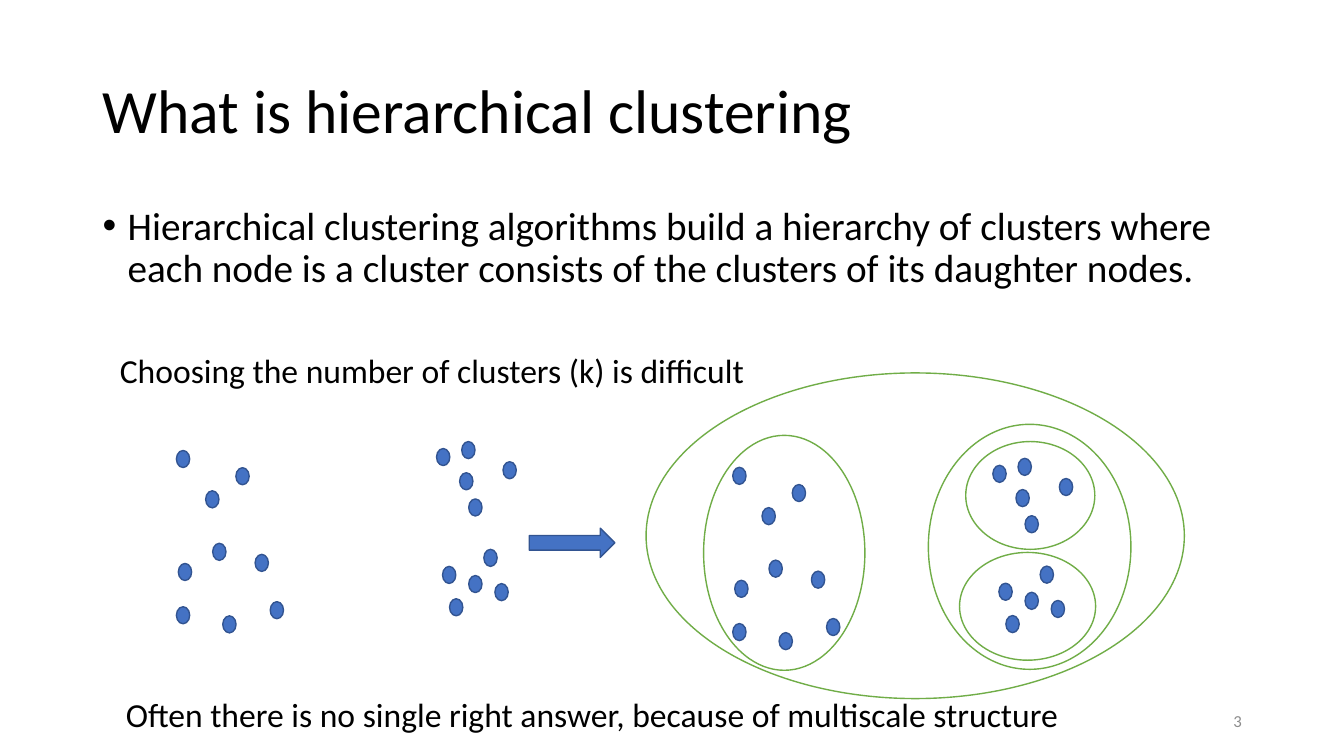
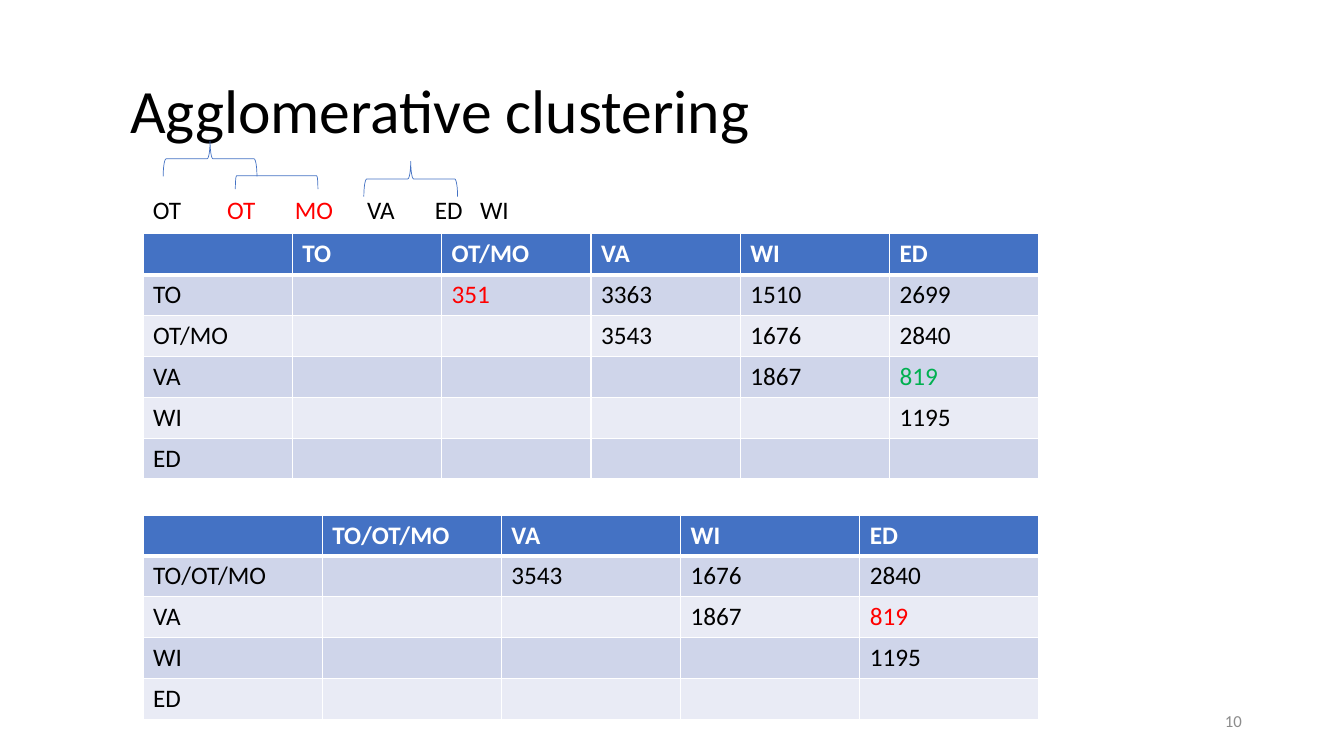
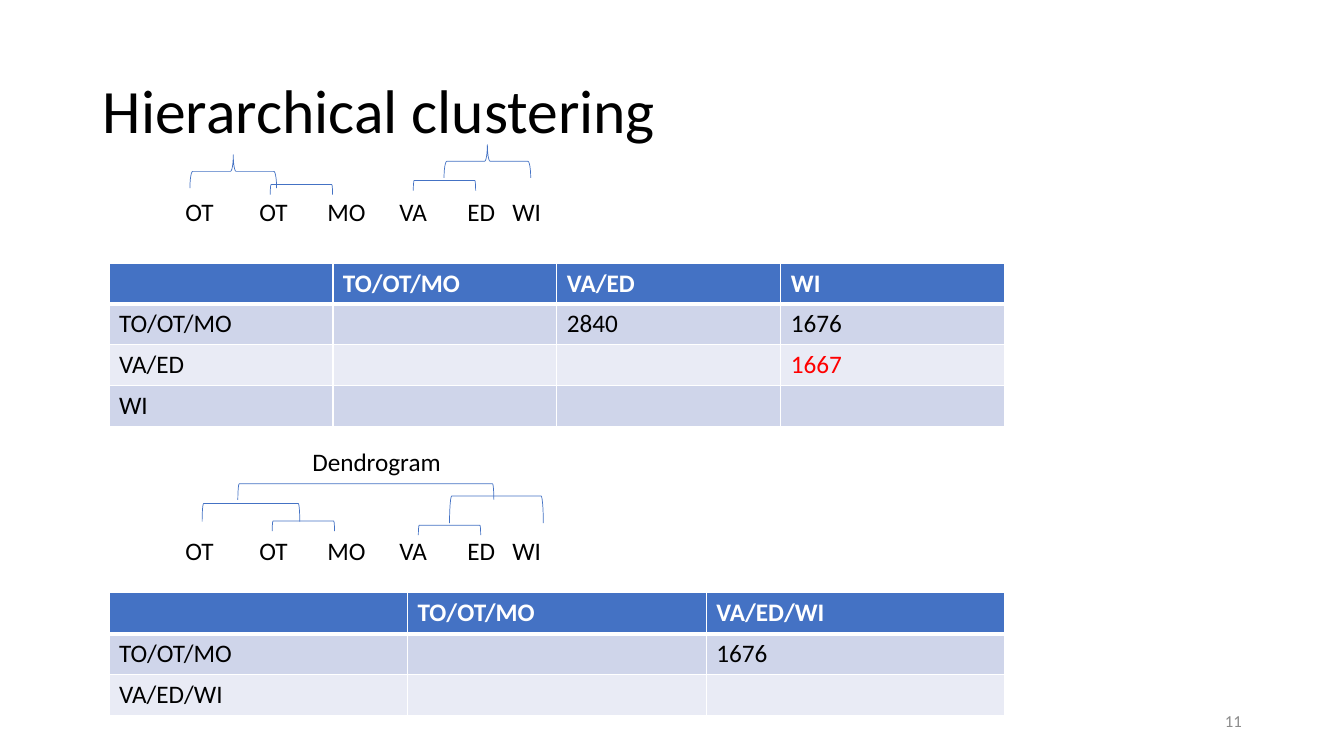
"""Build three slides on hierarchical clustering."""
from pptx import Presentation
from pptx.dml.color import RGBColor
from pptx.enum import shapes as sh, text as tx
from pptx.oxml import xmlchemy
from pptx.oxml.ns import qn
from pptx.util import Pt
from lxml import etree

COLORS = {
    "black": "000000", "white": "FFFFFF", "grey": "8C8C8C", "red": "FF0000",
    "green": "00B050", "ring": "70AD47", "blue": "4472C4", "outline": "325491",
    "band_dark": "CFD5EA", "band_light": "E9EBF5",
}
FONT = "Calibri"
SLIDE_SIZE = (960, 540)
NUMBER_BOX = (678.2, 500.6, 216, 28.8)

DEFINITION = ("Hierarchical clustering algorithms build a hierarchy of clusters where "
              "each node is a cluster consists of the clusters of its daughter nodes.")
RINGS = [
    (461.5, 266.4, 384.5, 232.6), (663.1, 303.1, 144.7, 175), (502.6, 311, 115.2, 167.8),
    (685.4, 394.6, 97.2, 77), (689.8, 315.4, 92.2, 77),
]
DOTS = [
    (126, 321.8), (168.5, 334.1), (146.9, 350.6), (127.4, 402.5), (151.9, 388.1),
    (126, 433.4), (182.2, 396), (159.1, 439.9), (193, 429.8),
    (321.1, 427.7), (353.5, 416.9), (345.6, 392.4), (316.1, 404.6), (334.8, 411.1),
    (334.8, 356.4), (359.3, 329.8), (328.3, 337.7), (329.8, 315.4), (311.8, 320.4),
]
DOT_SIZE = (9.5, 12.2)
CLUSTERED_SHIFT = (397.4, 12)

CITIES = ["OT", "OT", "MO", "VA", "ED", "WI"]
CITY_TABS = [52.9, 101.4, 152.9, 201.4, 233.6]
TABLE_WIDTH, ROW_HEIGHT = 640, 29.2

MERGES = [
    {
        "title": "Agglomerative clustering", "title_left": 85.7, "number": 10,
        "tables": [
            {"at": (102.2, 167), "names": ["TO", "OT/MO", "VA", "WI", "ED"],
             "distances": [[351, 3363, 1510, 2699], [3543, 1676, 2840], [1867, 819], [1195]],
             "marks": {351: "red", 819: "green"}},
            {"at": (102.2, 367.9), "names": ["TO/OT/MO", "VA", "WI", "ED"],
             "distances": [[3543, 1676, 2840], [1867, 819], [1195]],
             "marks": {819: "red"}},
        ],
        "city_rows": [(102.2, 135.4, {1, 2})],
        "braces": [(116.6, 100.8, 67, 25.2), (259.9, 115.2, 67, 25.2)],
        "brackets": [(168.1, 125.6, 59, 9.4)],
        "captions": [],
    },
    {
        "title": "Hierarchical clustering", "title_left": 66.2, "number": 11,
        "tables": [
            {"at": (77.8, 187.9), "names": ["TO/OT/MO", "VA/ED", "WI"],
             "distances": [[2840, 1676], [1667]], "marks": {1667: "red"}},
            {"at": (77.8, 423.4), "names": ["TO/OT/MO", "VA/ED/WI"],
             "distances": [[1676]], "marks": {}},
        ],
        "city_rows": [(125.3, 136.8, set()), (125.3, 378.7, set())],
        "braces": [(317.2, 103.3, 61.9, 23.8), (135.7, 110.5, 61.9, 23.8)],
        "brackets": [
            (295.2, 128.9, 44.6, 7.2), (193, 131.8, 44.6, 7.2),
            (298.8, 375.1, 44.6, 7.2), (194.4, 372.2, 44.6, 7.2),
            (321.1, 354.2, 67, 19.4), (144.4, 359.6, 69.8, 13), (169.9, 345.6, 182.9, 11.5),
        ],
        "captions": [("Dendrogram", (216, 315.4, 108, 28.8))],
    },
]


def rgb(name):
    """Return a palette colour."""
    return RGBColor.from_string(COLORS[name])


def style(paragraph, size, color="black", bold=False):
    """Set the font of a paragraph."""
    font = paragraph.font
    font.name, font.size, font.bold = FONT, Pt(size), bold
    font.color.rgb = rgb(color)


def add_setting(paragraph, tag, **attributes):
    """Add a paragraph property that has no public method."""
    properties = paragraph._p.get_or_add_pPr()
    setting = etree.SubElement(properties, qn(tag), **attributes)
    properties.insert_element_before(setting, "a:defRPr", "a:extLst")
    return setting


def add_text(slide, words, box, size, color="black"):
    """Add a wrapped text box and return its paragraph."""
    frame = slide.shapes.add_textbox(*map(Pt, box)).text_frame
    frame.word_wrap = True
    paragraph = frame.paragraphs[0]
    paragraph.text = words
    style(paragraph, size, color)
    return paragraph


def add_figure(slide, preset, box, line, fill=None, weight=1):
    """Add a preset shape with a plain outline."""
    figure = slide.shapes.add_shape(preset, *map(Pt, box))
    figure.shadow.inherit = False
    figure.line.color.rgb = rgb(line)
    figure.line.width = Pt(weight)
    if fill:
        figure.fill.solid()
        figure.fill.fore_color.rgb = rgb(fill)
    else:
        figure.fill.background()
    return figure


def add_joint(slide, preset, left, top, span, depth):
    """Add a brace or bracket that opens downwards over a span."""
    box = (left + (span - depth) / 2, top + (depth - span) / 2, depth, span)
    add_figure(slide, preset, box, "blue", weight=0.5).rotation = 270


def add_cities(slide, left, top, red):
    """Add the row of city labels on tab stops."""
    paragraph = add_text(slide, "", (left, top, 272.9, 28.8), 18)
    stops = add_setting(paragraph, "a:tabLst")
    for position in CITY_TABS:
        etree.SubElement(stops, qn("a:tab"), pos=str(int(Pt(position))), algn="l")
    for i, city in enumerate(CITIES):
        run = paragraph.add_run()
        run.text = "\t" + city if i else city
        run.font.color.rgb = rgb("red" if i in red else "black")


def add_borders(cell, header):
    """Draw white cell borders, heavier below the header."""
    properties = cell._tc.get_or_add_tcPr()
    for i, side in enumerate(("a:lnL", "a:lnR", "a:lnT", "a:lnB")):
        weight = 3 if header and side == "a:lnB" else 1
        edge = etree.Element(qn(side), w=str(int(Pt(weight))))
        solid = etree.SubElement(edge, qn("a:solidFill"))
        etree.SubElement(solid, qn("a:srgbClr"), val=COLORS["white"])
        properties.insert(i, edge)


def add_distances(slide, at, names, distances, marks):
    """Add a table with the upper triangle of a distance matrix."""
    count = len(names) + 1
    grid = slide.shapes.add_table(
        count, count, *map(Pt, (*at, TABLE_WIDTH, ROW_HEIGHT * count))).table
    for column in grid.columns:
        column.width = Pt(TABLE_WIDTH / count)
    for r, row in enumerate(grid.rows):
        row.height = Pt(ROW_HEIGHT)
        header = r == 0
        for c, cell in enumerate(row.cells):
            value = ""
            if header and c:
                value = names[c - 1]
            elif r and c == 0:
                value = names[r - 1]
            elif r and c > r:
                value = distances[r - 1][c - r - 1]
            cell.text = str(value)
            color = "white" if header else marks.get(value, "black")
            style(cell.text_frame.paragraphs[0], 18, color, header)
            cell.fill.solid()
            band = "band_dark" if r % 2 else "band_light"
            cell.fill.fore_color.rgb = rgb("blue" if header else band)
            add_borders(cell, header)


def add_slide(deck, title, number, title_left=66.2):
    """Add a slide with its title and number."""
    slide = deck.slides.add_slide(deck.slide_layouts[5])
    heading = slide.shapes.title
    heading.left, heading.top, heading.width, heading.height = map(
        Pt, (title_left, 28.8, 828, 104.4))
    heading.text_frame.text = title
    heading.text_frame.vertical_anchor = tx.MSO_ANCHOR.MIDDLE
    paragraph = heading.text_frame.paragraphs[0]
    paragraph.alignment = tx.PP_ALIGN.LEFT
    paragraph.line_spacing = 0.9
    style(paragraph, 44)
    page = add_text(slide, str(number), NUMBER_BOX, 12, "grey")
    page.alignment = tx.PP_ALIGN.RIGHT
    slide.shapes[-1].text_frame.vertical_anchor = tx.MSO_ANCHOR.MIDDLE
    return slide


def build_intro(deck):
    """Build the slide that shows nested clusters."""
    slide = add_slide(deck, "What is hierarchical clustering", 3)
    oval = sh.MSO_SHAPE.OVAL
    for ring in RINGS:
        add_figure(slide, oval, ring, "ring", "white")
    definition = add_text(slide, DEFINITION, (66.2, 144, 828, 126), 28)
    definition.line_spacing = 0.9
    definition.space_before = Pt(10)
    add_setting(definition, "a:buFont", typeface="Arial")
    add_setting(definition, "a:buChar", char="•")
    properties = definition._p.get_or_add_pPr()
    properties.set("marL", str(int(Pt(18))))
    properties.set("indent", str(int(Pt(-18))))
    add_text(slide, "Choosing the number of clusters (k) is difficult",
             (78.5, 246.2, 470.2, 36), 24)
    add_text(slide, "Often there is no single right answer, because of multiscale structure",
             (82.8, 491.8, 693.4, 36), 24)
    for dx, dy in ((0, 0), CLUSTERED_SHIFT):
        for x, y in DOTS:
            add_figure(slide, oval, (x + dx, y + dy, *DOT_SIZE), "outline", "blue")
    add_figure(slide, sh.MSO_SHAPE.RIGHT_ARROW, (378, 377.3, 61.2, 20.9), "outline", "blue")


def build_merge(deck, merge):
    """Build a slide with distance tables and merge trees."""
    slide = add_slide(deck, merge["title"], merge["number"], merge["title_left"])
    for matrix in merge["tables"]:
        add_distances(slide, **matrix)
    for row in merge["city_rows"]:
        add_cities(slide, *row)
    for brace in merge["braces"]:
        add_joint(slide, sh.MSO_SHAPE.RIGHT_BRACE, *brace)
    for bracket in merge["brackets"]:
        add_joint(slide, sh.MSO_SHAPE.RIGHT_BRACKET, *bracket)
    for words, box in merge["captions"]:
        add_text(slide, words, box, 18)


def main():
    """Build and save the deck."""
    deck = Presentation()
    deck.slide_width, deck.slide_height = map(Pt, SLIDE_SIZE)
    build_intro(deck)
    for merge in MERGES:
        build_merge(deck, merge)
    deck.save("out.pptx")


if __name__ == "__main__":
    main()
